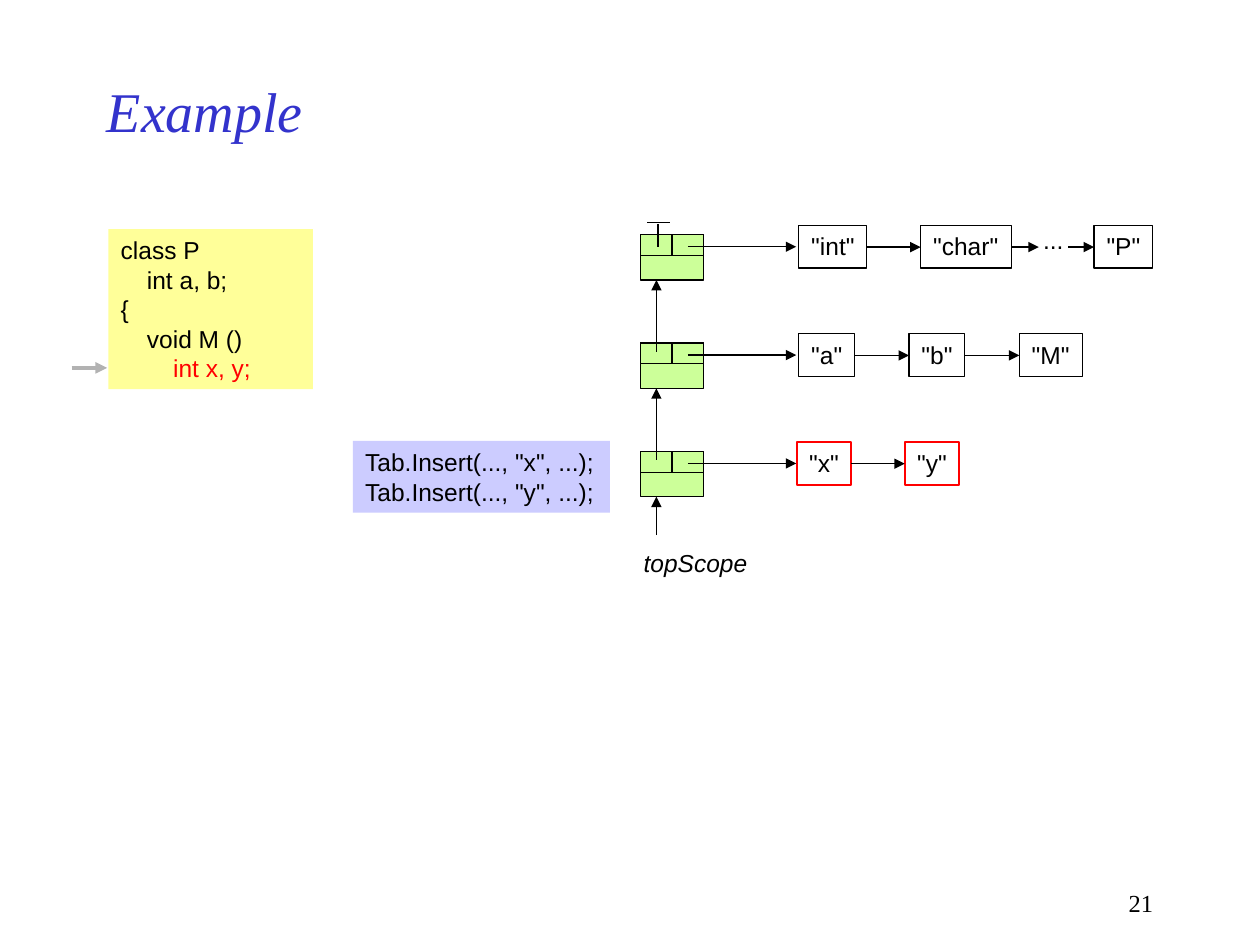
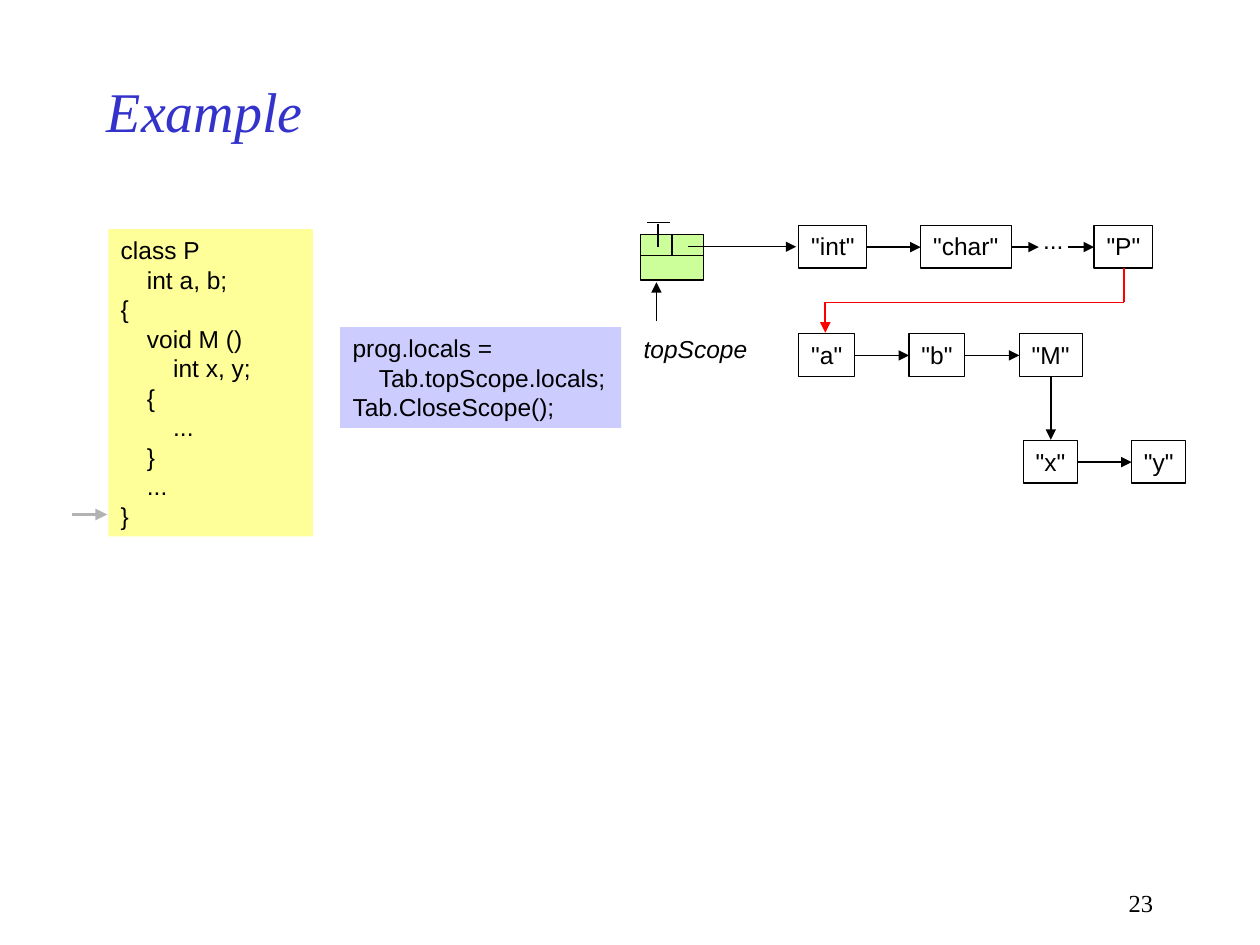
import dataclasses
import itertools

import lxml.etree
import pptx
import pptx.dml.color
import pptx.enum.shapes
import pptx.enum.text
import pptx.oxml.ns
import pptx.util

Pt = pptx.util.Pt


@dataclasses.dataclass(frozen=True)
class Theme:
    title_font: str = "Times New Roman"
    body_font: str = "Arial"
    title_size: float = 32
    body_size: float = 14
    line_pitch: float = 16.85
    title: str = "3333CC"
    ink: str = "000000"
    new: str = "FF0000"
    marker: str = "B2B2B2"
    code: str = "FFFF99"
    action: str = "CCCCFF"
    scope: str = "CCFF99"
    thin: float = 0.75
    medium: float = 1
    thick: float = 2.25


THEME = Theme()

# Content: code lines are (indent level, text); entries are (name, left, width)
CLASS_HEAD = [(0, "class P"), (1, "int a, b;"), (0, "{"), (1, "void M ()"), (2, "int x, y;")]
METHOD_BODY = [(1, "{"), (2, "..."), (1, "}"), (1, "..."), (0, "}")]
UNIVERSE = [('"int"', 456.5, 38.9), ('"char"', 526.1, 51.8), ("...", 589, 25.9), ('"P"', 625.2, 33.6)]
GLOBALS = [('"a"', 456.5, 31.7), ('"b"', 519.5, 31.7), ('"M"', 582.5, 36)]

SLIDES = [
    dict(
        number="21",
        code=CLASS_HEAD, code_height=91.4, new_code="int x, y;", current_line_y=210.2,
        action=[(0, 'Tab.Insert(..., "x", ...);'), (0, 'Tab.Insert(..., "y", ...);')],
        action_box=(201.6, 252, 146.9, 41),
        scopes=3, top_scope_y=283.8,
        locals=[('"x"', 455.3, 31), ('"y"', 517, 31)], locals_y=252.5, locals_color=THEME.new,
        routes=[],
    ),
    dict(
        number="23",
        code=CLASS_HEAD + METHOD_BODY, code_height=175.5, new_code=None, current_line_y=294,
        action=[(0, "prog.locals ="), (1, "Tab.topScope.locals;"), (0, "Tab.CloseScope();")],
        action_box=(194.4, 187, 160.6, 57.6),
        scopes=1, top_scope_y=161.3,
        locals=[('"x"', 584.8, 31), ('"y"', 646.6, 31)], locals_y=251.6, locals_color=THEME.ink,
        routes=[
            ([(642.2, 153.4), (642.2, 172.8), (471.6, 172.8), (471.6, 190.1)], THEME.new, THEME.medium),
            ([(600.5, 215.3), (600.5, 251.3)], THEME.ink, THEME.thin),
        ],
    ),
]

# Layout
INDENT = 15
SCOPE_LEFT, SCOPE_TOP, SCOPE_PITCH = 366, 134, 61.92
SCOPE_WIDTH, SCOPE_HEIGHT, LINK_HEIGHT = 36, 26, 12
PARENT_X = 375.1
LABEL_WIDTH = 80
ENTRY_HEIGHT, ENTRY_ARROW_DROP = 24.5, 12.5
ENTRY_RISE = 5.3
DOTS_RISE, DOTS_INSET = 3.6, 4.6


def rgb(value):
    return pptx.dml.color.RGBColor.from_string(value)


def set_outline(line, color, width):
    line.color.rgb = rgb(color)
    line.width = Pt(width)


def add_tab_stops(paragraph, count):
    tab_list = lxml.etree.SubElement(paragraph._p.get_or_add_pPr(), pptx.oxml.ns.qn("a:tabLst"))
    for level in range(1, count + 1):
        lxml.etree.SubElement(tab_list, pptx.oxml.ns.qn("a:tab"),
                              pos=str(int(Pt(level * INDENT))), algn="l")


def add_run(paragraph, text, color=THEME.ink, size=THEME.body_size, font=THEME.body_font, italic=False):
    run = paragraph.add_run()
    run.text = text
    run.font.name, run.font.size, run.font.italic = font, Pt(size), italic
    run.font.color.rgb = rgb(color)


def write_lines(shape, lines, highlighted=None, italic=False):
    frame = shape.text_frame
    frame.word_wrap = False
    frame.vertical_anchor = pptx.enum.text.MSO_ANCHOR.TOP
    deepest = max(level for level, _ in lines)
    for index, (level, text) in enumerate(lines):
        paragraph = frame.add_paragraph() if index else frame.paragraphs[0]
        paragraph.line_spacing = Pt(THEME.line_pitch)
        paragraph.alignment = pptx.enum.text.PP_ALIGN.LEFT
        if deepest:
            add_tab_stops(paragraph, deepest)
        color = THEME.new if text == highlighted else THEME.ink
        add_run(paragraph, "\t" * level + text, color, italic=italic)


def add_box(slide, left, top, width, height, fill=None, outline=None, line_width=THEME.thin):
    shape = slide.shapes.add_shape(pptx.enum.shapes.MSO_SHAPE.RECTANGLE,
                                   Pt(left), Pt(top), Pt(width), Pt(height))
    shape.shadow.inherit = False
    if fill:
        shape.fill.solid()
        shape.fill.fore_color.rgb = rgb(fill)
    else:
        shape.fill.background()
    if outline:
        set_outline(shape.line, outline, line_width)
    else:
        shape.line.fill.background()
    return shape


def add_textbox(slide, left, top, width, height):
    return slide.shapes.add_textbox(Pt(left), Pt(top), Pt(width), Pt(height))


def add_line(slide, start, end, color=THEME.ink, width=THEME.thin, arrow=True):
    connector = slide.shapes.add_connector(pptx.enum.shapes.MSO_CONNECTOR.STRAIGHT,
                                           *(Pt(value) for value in (*start, *end)))
    set_outline(connector.line, color, width)
    if arrow:
        lxml.etree.SubElement(connector.line._get_or_add_ln(),
                              pptx.oxml.ns.qn("a:tailEnd"), type="triangle")
    lxml.etree.SubElement(connector._element.spPr, pptx.oxml.ns.qn("a:effectLst"))


def add_title_and_number(slide, number):
    title = add_textbox(slide, 54, 36, 540, 54).text_frame
    title.word_wrap = True
    title.vertical_anchor = pptx.enum.text.MSO_ANCHOR.MIDDLE
    add_run(title.paragraphs[0], "Example", THEME.title, THEME.title_size, THEME.title_font, True)

    footer = add_textbox(slide, 516.2, 504, 149.8, 24).text_frame
    footer.word_wrap = True
    footer.paragraphs[0].alignment = pptx.enum.text.PP_ALIGN.RIGHT
    add_run(footer.paragraphs[0], number, font=THEME.title_font)


def add_scope(slide, index):
    top = SCOPE_TOP + index * SCOPE_PITCH
    half = SCOPE_WIDTH / 2
    for left, width, height in ((SCOPE_LEFT, SCOPE_WIDTH, SCOPE_HEIGHT),
                                (SCOPE_LEFT, half, LINK_HEIGHT),
                                (SCOPE_LEFT + half, half, LINK_HEIGHT)):
        add_box(slide, left, top, width, height, THEME.scope, THEME.ink)
    add_line(slide, (393.1, top + 7), (455, top + 7))
    if index:
        parent_bottom = top - SCOPE_PITCH + SCOPE_HEIGHT
        add_line(slide, (PARENT_X, top + 5), (PARENT_X, parent_bottom))
    else:
        # The outermost scope has no parent
        add_line(slide, (376, top + 7), (376, top - 6), arrow=False)
        add_line(slide, (370, top - 7), (383, top - 7), arrow=False)


def add_entries(slide, entries, top, color=THEME.ink):
    line_width = THEME.thin if color == THEME.ink else THEME.medium
    spans = []
    for name, left, width in entries:
        if name == "...":
            shape = add_textbox(slide, left, top - DOTS_RISE, width, ENTRY_HEIGHT)
            spans.append((left + DOTS_INSET, left + width - DOTS_INSET))
        else:
            shape = add_box(slide, left, top, width, ENTRY_HEIGHT, None, color, line_width)
            spans.append((left, left + width))
        write_lines(shape, [(0, name)])
    arrow_y = top + ENTRY_ARROW_DROP
    for (_, start), (end, _) in itertools.pairwise(spans):
        add_line(slide, (start, arrow_y), (end, arrow_y))


def add_route(slide, points, color, width):
    for start, end in itertools.pairwise(points):
        add_line(slide, start, end, color, width, arrow=end == points[-1])


def build_slide(presentation, content):
    slide = presentation.slides.add_slide(presentation.slide_layouts[6])
    add_title_and_number(slide, content["number"])

    # Source code, current line and compiler action
    code = add_box(slide, 61.9, 131, 116.9, content["code_height"], THEME.code)
    write_lines(code, content["code"], content["new_code"])
    y = content["current_line_y"]
    add_line(slide, (41, y), (61.2, y), THEME.marker, THEME.thick)
    write_lines(add_box(slide, *content["action_box"], THEME.action), content["action"])

    # Scope chain and its top pointer
    for index in range(content["scopes"]):
        add_scope(slide, index)
    tip = content["top_scope_y"]
    add_line(slide, (PARENT_X, tip + 22), (PARENT_X, tip))
    label = add_textbox(slide, 360.7, tip + 25.9, LABEL_WIDTH, ENTRY_HEIGHT)
    write_lines(label, [(0, "topScope")], italic=True)

    # Symbol lists
    first_row = SCOPE_TOP - ENTRY_RISE
    add_entries(slide, UNIVERSE, first_row)
    add_entries(slide, GLOBALS, first_row + SCOPE_PITCH)
    add_entries(slide, content["locals"], content["locals_y"], content["locals_color"])
    for route in content["routes"]:
        add_route(slide, *route)


def main():
    presentation = pptx.Presentation()
    presentation.slide_width, presentation.slide_height = Pt(720), Pt(540)
    for content in SLIDES:
        build_slide(presentation, content)
    presentation.save("out.pptx")


if __name__ == "__main__":
    main()
